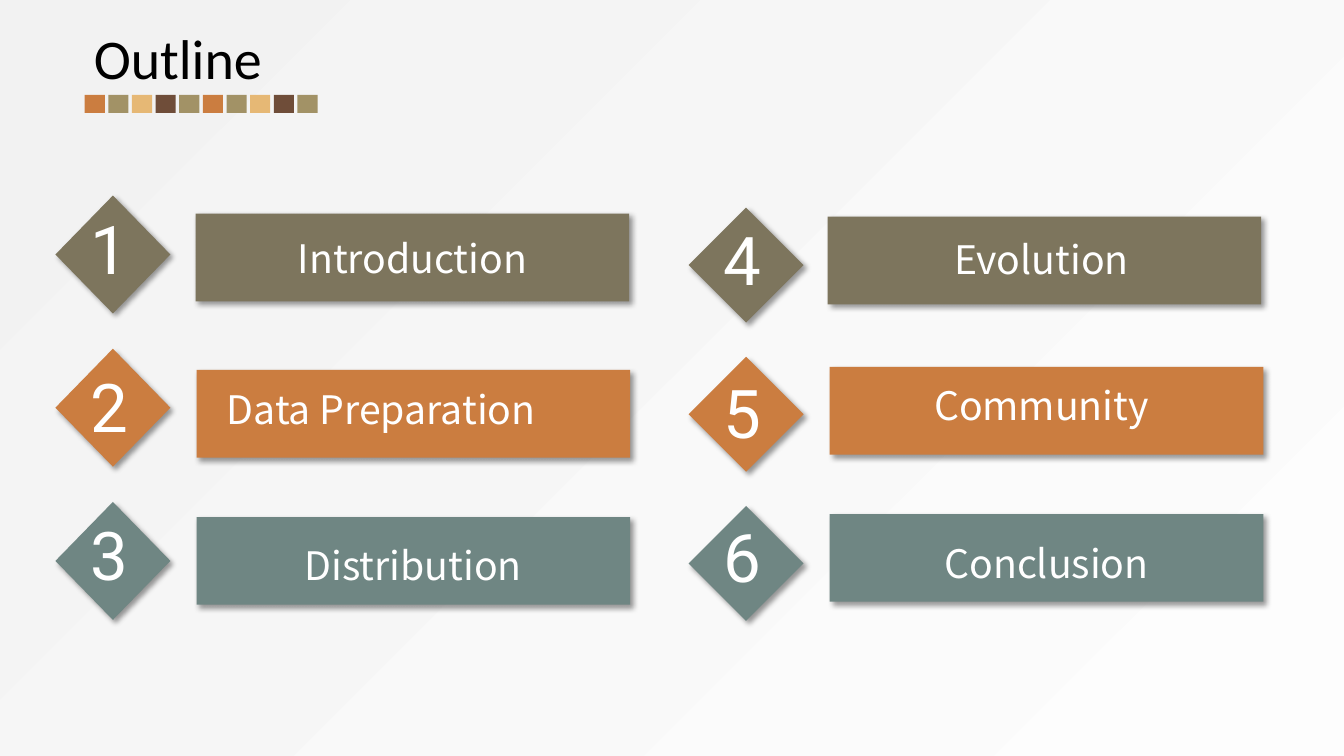
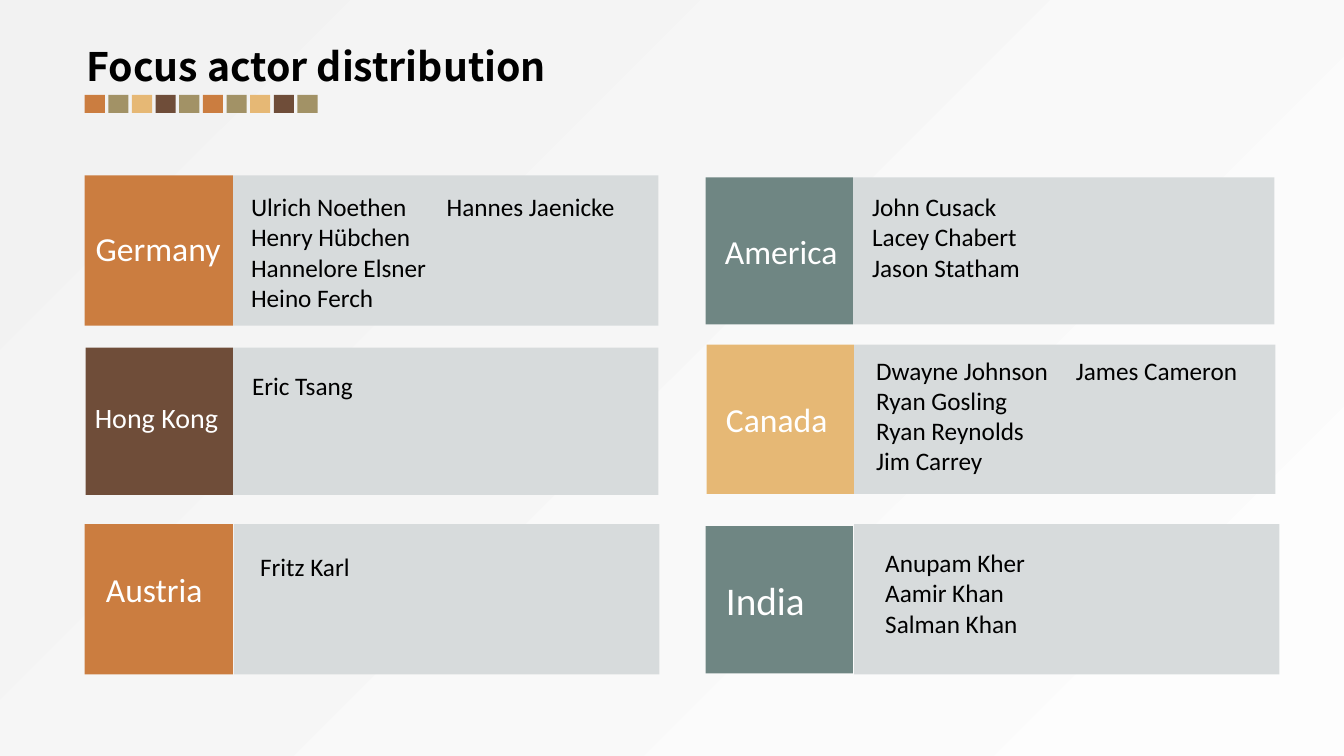
from dataclasses import dataclass

from lxml.etree import SubElement
from pptx import Presentation
from pptx.dml.color import RGBColor
from pptx.enum.shapes import MSO_SHAPE
from pptx.enum.text import MSO_ANCHOR, MSO_AUTO_SIZE, PP_ALIGN
from pptx.oxml.ns import qn
from pptx.util import Inches, Pt

ORANGE = RGBColor(0xCB, 0x7D, 0x40)
KHAKI = RGBColor(0xA2, 0x92, 0x66)
SAND = RGBColor(0xE6, 0xB8, 0x75)
BROWN = RGBColor(0x6F, 0x4D, 0x39)
OLIVE = RGBColor(0x7D, 0x75, 0x5D)
TEAL = RGBColor(0x6F, 0x86, 0x83)
PANEL_GREY = RGBColor(0xD7, 0xDB, 0xDC)
PAPER_LIGHT = RGBColor(0xFD, 0xFD, 0xFD)
PAPER_DARK = RGBColor(0xF2, 0xF2, 0xF2)
WHITE = RGBColor(0xFF, 0xFF, 0xFF)
BLACK = RGBColor(0x00, 0x00, 0x00)

BODY_FONT = "Calibri"
LABEL_FONT = "Noto Sans CJK SC"
NUMBER_FONT = "Roboto"

SWATCHES = [ORANGE, KHAKI, SAND, BROWN, KHAKI] * 2
SWATCH_BAND = (0.84, 0.94, 2.31, 0.18)
SWATCH_WIDTH = 0.2


@dataclass
class Topic:
    number: str
    label: str
    color: RGBColor
    diamond: tuple
    number_middle: float
    bar: tuple
    nudge: tuple = (0, 0)


@dataclass
class Country:
    label: str
    color: RGBColor
    tile: tuple
    panel: tuple
    size: int
    indent: float
    actors: list
    actor_inset: tuple
    lift: float = 0
    second_column: float = 0


TOPICS = [
    Topic("1", "Introduction", OLIVE, (0.55, 1.94, 1.14, 1.17), 2.46,
          (1.94, 2.12, 4.3, 0.87)),
    Topic("2", "Data Preparation", ORANGE, (0.55, 3.46, 1.14, 1.17), 4.02,
          (1.95, 3.67, 4.3, 0.87), (-0.32, -0.05)),
    Topic("3", "Distribution", TEAL, (0.55, 4.98, 1.14, 1.17), 5.49,
          (1.95, 5.13, 4.3, 0.87), (0, 0.04)),
    Topic("4", "Evolution", OLIVE, (6.83, 2.06, 1.14, 1.14), 2.57,
          (8.21, 2.15, 4.3, 0.87), (-0.03, -0.02)),
    Topic("5", "Community", ORANGE, (6.83, 3.54, 1.14, 1.14), 4.08,
          (8.23, 3.64, 4.3, 0.87), (-0.05, -0.06)),
    Topic("6", "Conclusion", TEAL, (6.83, 5.02, 1.14, 1.14), 5.51,
          (8.23, 5.1, 4.3, 0.87), (0, 0.05)),
]

COUNTRIES = [
    Country("Germany", ORANGE, (0.84, 1.74, 1.47, 1.49), (2.31, 1.74, 4.22, 1.49),
            24, 0.11, ["Ulrich Noethen\tHannes Jaenicke", "Henry Hübchen",
                       "Hannelore Elsner", "Heino Ferch"],
            (0.18, 0.16), 0.02, 1.94),
    Country("Hong Kong", BROWN, (0.85, 3.45, 1.46, 1.46), (2.31, 3.45, 4.22, 1.46),
            20, 0.09, ["Eric Tsang"], (0.19, 0.22), 0.04),
    Country("Austria", ORANGE, (0.84, 5.2, 1.47, 1.49), (2.32, 5.2, 4.22, 1.49),
            24, 0.21, ["Fritz Karl"], (0.26, 0.27), 0.1),
    Country("America", TEAL, (7, 1.76, 1.46, 1.46), (8.46, 1.76, 4.18, 1.46),
            24, 0.19, ["John Cusack", "Lacey Chabert", "Jason Statham"],
            (0.19, 0.14)),
    Country("Canada", SAND, (7.01, 3.42, 1.46, 1.48), (8.47, 3.42, 4.18, 1.48),
            24, 0.19, ["Dwayne Johnson\tJames Cameron", "Ryan Gosling",
                       "Ryan Reynolds", "Jim Carrey"],
            (0.22, 0.1), 0, 1.98),
    Country("India", TEAL, (7, 5.22, 1.46, 1.46), (8.47, 5.2, 4.22, 1.49),
            28, 0.2, ["Anupam Kher", "Aamir Khan", "Salman Khan"], (0.31, 0.23)),
]


def apply(target, values):
    for attribute, value in values.items():
        setattr(target, attribute, value)


def inches(box):
    return [Inches(length) for length in box]


def write(frame, lines, font, color, align=PP_ALIGN.LEFT, anchor=MSO_ANCHOR.MIDDLE,
          margins=(0.1, 0.05, 0.1, 0.05), tab=0):
    sides = ("margin_left", "margin_top", "margin_right", "margin_bottom")
    apply(frame, {"word_wrap": True, "auto_size": MSO_AUTO_SIZE.NONE,
                  "vertical_anchor": anchor, **dict(zip(sides, inches(margins)))})
    for index, line in enumerate(lines):
        paragraph = frame.add_paragraph() if index else frame.paragraphs[0]
        paragraph.alignment = align
        if tab and "\t" in line:
            stops = SubElement(paragraph._p.get_or_add_pPr(), qn("a:tabLst"))
            SubElement(stops, qn("a:tab"), pos=str(Inches(tab)), algn="l")
        run = paragraph.add_run()
        run.text = line
        apply(run.font, font)
        run.font.color.rgb = color


def add_block(slide, box, color, kind=MSO_SHAPE.RECTANGLE):
    block = slide.shapes.add_shape(kind, *inches(box))
    block.fill.solid()
    block.fill.fore_color.rgb = color
    block.line.fill.background()
    block.shadow.inherit = False
    return block


def cast_shadow(block):
    effects = block._element.spPr.find(qn("a:effectLst"))
    shadow = SubElement(effects, qn("a:outerShdw"), blurRad=str(Pt(4)),
                        dist=str(Pt(3)), dir="2700000", algn="tl", rotWithShape="0")
    shade = SubElement(shadow, qn("a:srgbClr"), val=str(BLACK))
    SubElement(shade, qn("a:alpha"), val="40000")


def set_background(master):
    fill = master.background.fill
    fill.gradient()
    for stop, color in zip(fill.gradient_stops, (PAPER_LIGHT, PAPER_DARK)):
        stop.color.rgb = color
    gradient = master.element.find(".//" + qn("a:gradFill"))
    gradient.remove(gradient.find(qn("a:lin")))
    direction = SubElement(gradient, qn("a:path"), path="circle")
    SubElement(direction, qn("a:fillToRect"), l="100000", t="100000")


def add_swatches(slide, band):
    left, top, width, height = band
    pitch = (width - SWATCH_WIDTH) / (len(SWATCHES) - 1)
    for index, color in enumerate(SWATCHES):
        add_block(slide, (left + index * pitch, top, SWATCH_WIDTH, height), color)


def start_slide(prs, heading, box, font):
    slide = prs.slides.add_slide(prs.slide_layouts[5])
    title = slide.shapes.title
    apply(title, dict(zip(("left", "top", "width", "height"), inches(box))))
    write(title.text_frame, [heading], font, BLACK)
    add_swatches(slide, SWATCH_BAND)
    return slide


def add_topic(slide, topic):
    left, top, width, height = topic.diamond
    cast_shadow(add_block(slide, topic.diamond, topic.color, MSO_SHAPE.DIAMOND))
    number = slide.shapes.add_textbox(
        *inches((left + 0.25, topic.number_middle - 0.47, 0.64, 0.94)))
    write(number.text_frame, [topic.number],
          {"name": NUMBER_FONT, "size": Pt(48)}, WHITE)
    bar = add_block(slide, topic.bar, topic.color)
    cast_shadow(bar)
    across, down = topic.nudge
    margins = (0.1 + max(0, 2 * across), 0.05 + max(0, 2 * down),
               0.1 + max(0, -2 * across), 0.05 + max(0, -2 * down))
    write(bar.text_frame, [topic.label], {"name": LABEL_FONT, "size": Pt(28)},
          WHITE, PP_ALIGN.CENTER, margins=margins)


def add_country(slide, country):
    panel = add_block(slide, country.panel, PANEL_GREY)
    write(panel.text_frame, country.actors, {"name": BODY_FONT, "size": Pt(18)},
          BLACK, anchor=MSO_ANCHOR.TOP, margins=(*country.actor_inset, 0, 0),
          tab=country.second_column)
    tile = add_block(slide, country.tile, country.color)
    write(tile.text_frame, [country.label],
          {"name": BODY_FONT, "size": Pt(country.size)}, WHITE,
          margins=(country.indent, 0, 0, 2 * country.lift))


def build_outline(prs):
    slide = start_slide(prs, "Outline", (0.83, 0.18, 5, 0.77),
                        {"name": BODY_FONT, "size": Pt(40)})
    for topic in TOPICS:
        add_topic(slide, topic)


def build_distribution(prs):
    slide = start_slide(prs, "Focus actor distribution", (0.76, 0.3, 5.37, 0.7),
                        {"name": LABEL_FONT, "size": Pt(28), "bold": True})
    for country in COUNTRIES:
        add_country(slide, country)


def main():
    prs = Presentation()
    apply(prs, {"slide_width": Inches(13.33), "slide_height": Inches(7.5)})
    set_background(prs.slide_master)
    build_outline(prs)
    build_distribution(prs)
    prs.save("out.pptx")


if __name__ == "__main__":
    main()
